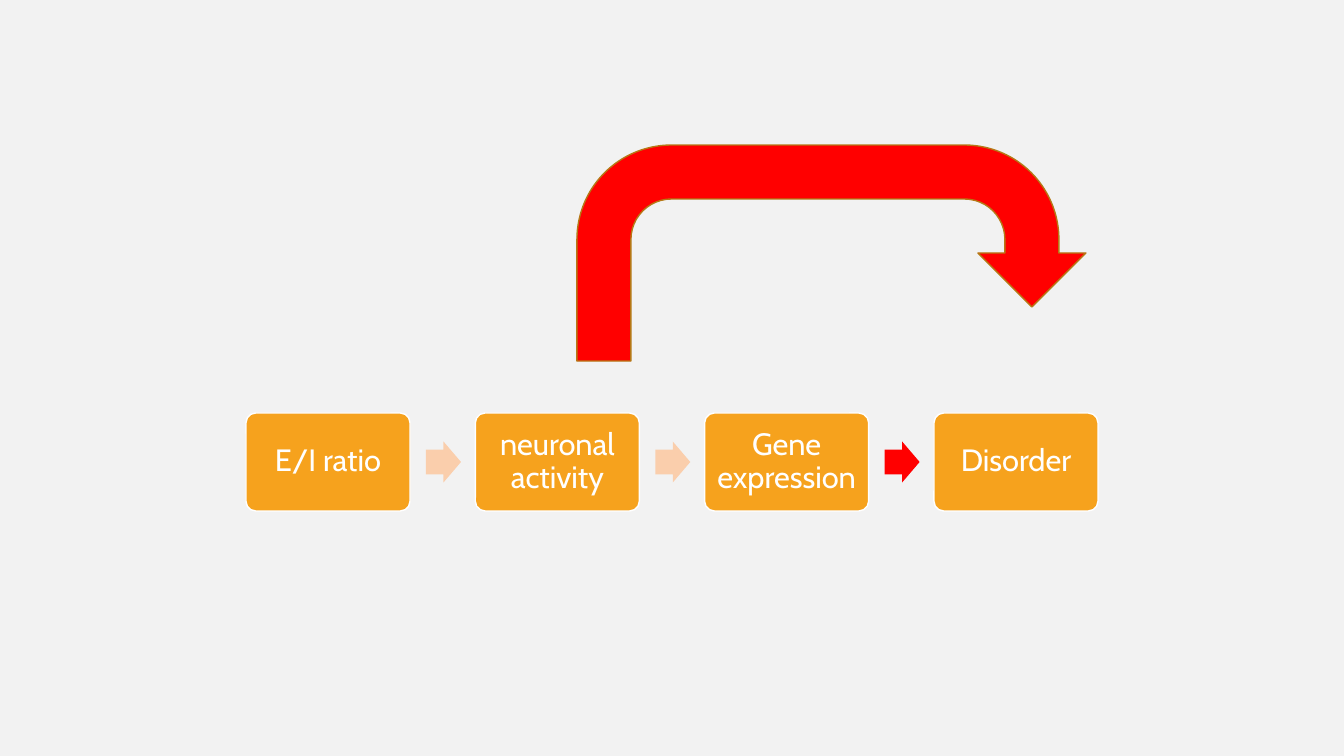
from pptx import Presentation
from pptx.dml.color import RGBColor
from pptx.enum.shapes import MSO_SHAPE as Kind
from pptx.enum.text import MSO_ANCHOR as Anchor, PP_ALIGN as Align
from pptx.util import Emu, Pt

SCALE = 914400 / 100.8
RED, PEACH, ORANGE, WHITE = "FF0000", "FACEAC", "F6A21D", "FFFFFF"
STEPS = ["E/I ratio", "neuronal activity", "Gene expression", "Disorder"]
LINKS = [PEACH, PEACH, RED]


def px(n):
    return Emu(round(n * SCALE))


def color(code):
    return RGBColor.from_string(code)


def draw(slide, kind, box, fill, line=None, adjust=()):
    shape = slide.shapes.add_shape(kind, *map(px, box))
    shape.shadow.inherit = False
    shape.fill.solid()
    shape.fill.fore_color.rgb = color(fill)
    if line:
        shape.line.color.rgb = color(line)
        shape.line.width = Pt(1)
    else:
        shape.line.fill.background()
    for i, value in enumerate(adjust):
        shape.adjustments[i] = value
    return shape


def write(shape, text, size=22, font="Cabin", ink=WHITE, inset=7):
    frame = shape.text_frame
    frame.word_wrap = True
    frame.vertical_anchor = Anchor.MIDDLE
    frame.margin_left = frame.margin_right = px(inset)
    frame.margin_top = frame.margin_bottom = px(inset)
    para = frame.paragraphs[0]
    para.alignment = Align.CENTER
    para.line_spacing = 0.9
    run = para.add_run()
    run.text = text
    run.font.size = Pt(size)
    run.font.name = font
    run.font.color.rgb = color(ink)


def chain(slide, left, top, width, height):
    """Row of steps with an arrow in each gap."""
    card, gap, head, tall = 164, 16, 35, 41
    pitch = (width - card) / (len(STEPS) - 1)
    for i, text in enumerate(STEPS):
        x = left + i * pitch
        step = draw(slide, Kind.ROUNDED_RECTANGLE, (x, top, card, height),
                    ORANGE, line=WHITE, adjust=[0.1])
        write(step, text)
        # Arrow to the next step
        if i < len(LINKS):
            spot = (x + card + gap, top + (height - tall) / 2, head, tall)
            draw(slide, Kind.RIGHT_ARROW, spot, LINKS[i], adjust=[0.6, 0.5])


def bypass(slide, *box):
    """Curved arrow from neuronal activity over to the disorder."""
    draw(slide, Kind.U_TURN_ARROW, box, RED, line="B67815")


def main():
    deck = Presentation()
    deck.slide_width, deck.slide_height = px(1344), px(756)
    slide = deck.slides.add_slide(deck.slide_layouts[6])
    back = slide.background.fill
    back.solid()
    back.fore_color.rgb = color("F2F2F2")
    chain(slide, 246, 413, 852, 98)
    bypass(slide, 577, 145, 509, 216)
    deck.save("out.pptx")


if __name__ == "__main__":
    main()
